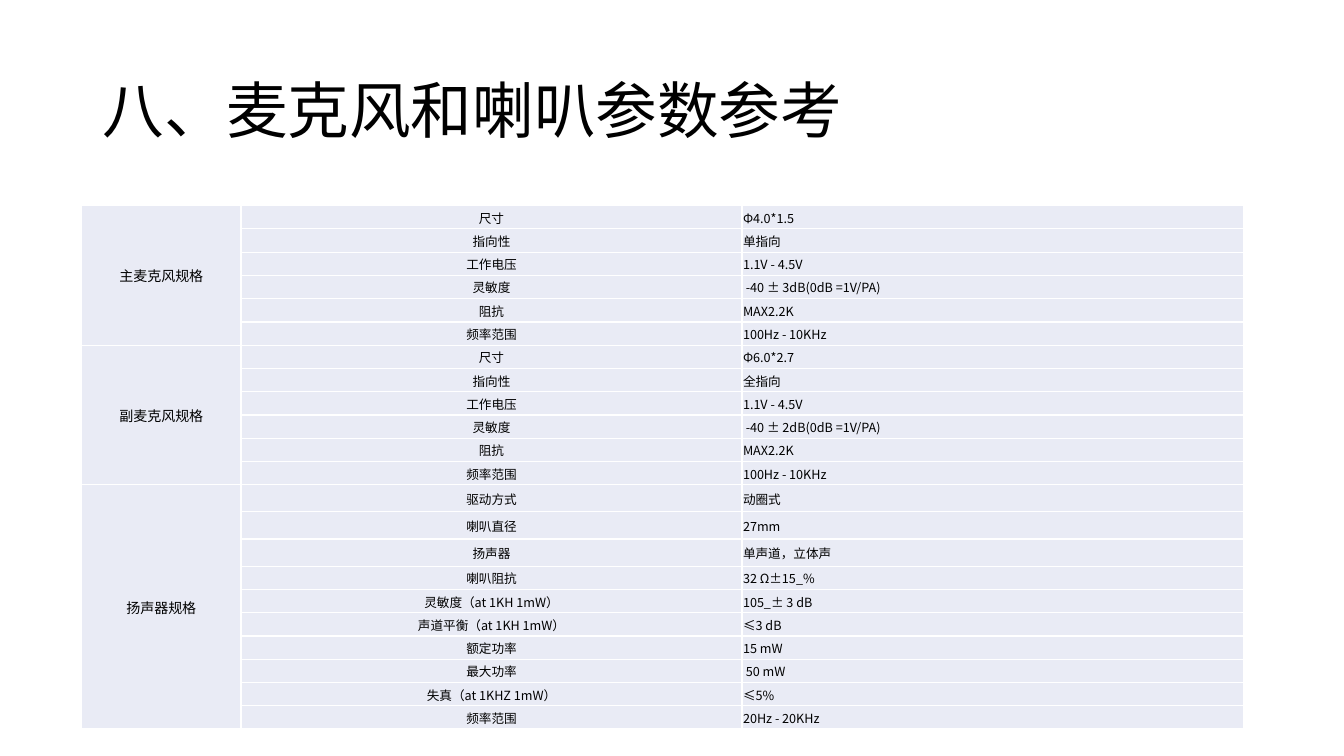
from dataclasses import dataclass

from lxml import etree
from pptx import Presentation
from pptx.dml.color import RGBColor
from pptx.enum.text import MSO_ANCHOR, PP_ALIGN
from pptx.oxml.ns import qn
from pptx.util import Inches, Pt

LEFT, CENTER = PP_ALIGN.LEFT, PP_ALIGN.CENTER
MIDDLE = MSO_ANCHOR.MIDDLE


@dataclass(frozen=True)
class Theme:
    font: str = "Noto Sans CJK SC"
    text: str = "000000"
    cell: str = "E9EBF5"
    border: str = "FFFFFF"
    title_size: int = 44
    group_size: int = 10
    body_size: int = 9


THEME = Theme()

GROUPS = [
    ("主麦克风规格", [
        ("尺寸", "Φ4.0*1.5"),
        ("指向性", "单指向"),
        ("工作电压", "1.1V - 4.5V"),
        ("灵敏度", " -40 ± 3dB(0dB =1V/PA)"),
        ("阻抗", "MAX2.2K"),
        ("频率范围", "100Hz - 10KHz"),
    ]),
    ("副麦克风规格", [
        ("尺寸", "Φ6.0*2.7"),
        ("指向性", "全指向"),
        ("工作电压", "1.1V - 4.5V"),
        ("灵敏度", " -40 ± 2dB(0dB =1V/PA)"),
        ("阻抗", "MAX2.2K"),
        ("频率范围", "100Hz - 10KHz"),
    ]),
    ("扬声器规格", [
        ("驱动方式", "动圈式"),
        ("喇叭直径", "27mm"),
        ("扬声器", "单声道，立体声"),
        ("喇叭阻抗", "32 Ω±15_%"),
        ("灵敏度（at 1KH 1mW）", "105_± 3 dB"),
        ("声道平衡（at 1KH 1mW）", "≤3 dB"),
        ("额定功率", "15 mW"),
        ("最大功率", " 50 mW"),
        ("失真（at 1KHZ 1mW）", "≤5%"),
        ("频率范围", "20Hz - 20KHz"),
    ]),
]
TALL_LABELS = {"驱动方式", "喇叭直径", "扬声器"}
TALL_HEIGHT = 0.27
TABLE_HEIGHT = 5.2
COLUMN_WIDTHS = [1.58, 4.97, 4.97]


def write_text(paragraph, text, size, alignment):
    paragraph.alignment = alignment
    run = paragraph.add_run()
    run.text = text
    run.font.size = Pt(size)
    run.font.name = THEME.font
    run.font.color.rgb = RGBColor.from_string(THEME.text)
    east_asian = etree.SubElement(run.font._element, qn("a:ea"))
    east_asian.set("typeface", THEME.font)


def fill_cell(cell, text, size, alignment):
    """Write a cell's text and give it the table's fill, margins and borders."""
    cell.vertical_anchor = MIDDLE
    cell.margin_left = cell.margin_right = cell.margin_top = Inches(0.01)
    cell.margin_bottom = 0
    cell.fill.solid()
    cell.fill.fore_color.rgb = RGBColor.from_string(THEME.cell)
    properties = cell._tc.get_or_add_tcPr()
    for position, side in enumerate(("a:lnL", "a:lnR", "a:lnT", "a:lnB")):
        line = etree.Element(qn(side), w=str(Pt(1)))
        solid = etree.SubElement(line, qn("a:solidFill"))
        etree.SubElement(solid, qn("a:srgbClr"), val=THEME.border)
        properties.insert(position, line)
    if text:
        write_text(cell.text_frame.paragraphs[0], text, size, alignment)


presentation = Presentation()
presentation.slide_width = Inches(13.33)
presentation.slide_height = Inches(7.5)
slide = presentation.slides.add_slide(presentation.slide_layouts[5])

title = slide.shapes.title
title.left, title.top = Inches(0.92), Inches(0.4)
title.width, title.height = Inches(11.5), Inches(1.45)
title.text_frame.vertical_anchor = MIDDLE
title_paragraph = title.text_frame.paragraphs[0]
title_paragraph.line_spacing = 0.9
write_text(title_paragraph, "八、麦克风和喇叭参数参考", THEME.title_size, LEFT)

row_count = sum(len(rows) for _, rows in GROUPS)
row_height = (TABLE_HEIGHT - len(TALL_LABELS) * TALL_HEIGHT) / (row_count - len(TALL_LABELS))
table = slide.shapes.add_table(
    row_count, len(COLUMN_WIDTHS), Inches(0.81), Inches(2.04),
    Inches(sum(COLUMN_WIDTHS)), Inches(TABLE_HEIGHT)).table
table.first_row = False
table.horz_banding = False
for column, width in zip(table.columns, COLUMN_WIDTHS):
    column.width = Inches(width)

first = 0
for group, rows in GROUPS:
    for index, (label, value) in enumerate(rows, first):
        table.rows[index].height = Inches(TALL_HEIGHT if label in TALL_LABELS else row_height)
        heading = group if index == first else ""
        fill_cell(table.cell(index, 0), heading, THEME.group_size, CENTER)
        fill_cell(table.cell(index, 1), label, THEME.body_size, CENTER)
        fill_cell(table.cell(index, 2), value, THEME.body_size, LEFT)
    last = first + len(rows) - 1
    table.cell(first, 0).merge(table.cell(last, 0))
    first = last + 1

presentation.save("out.pptx")
